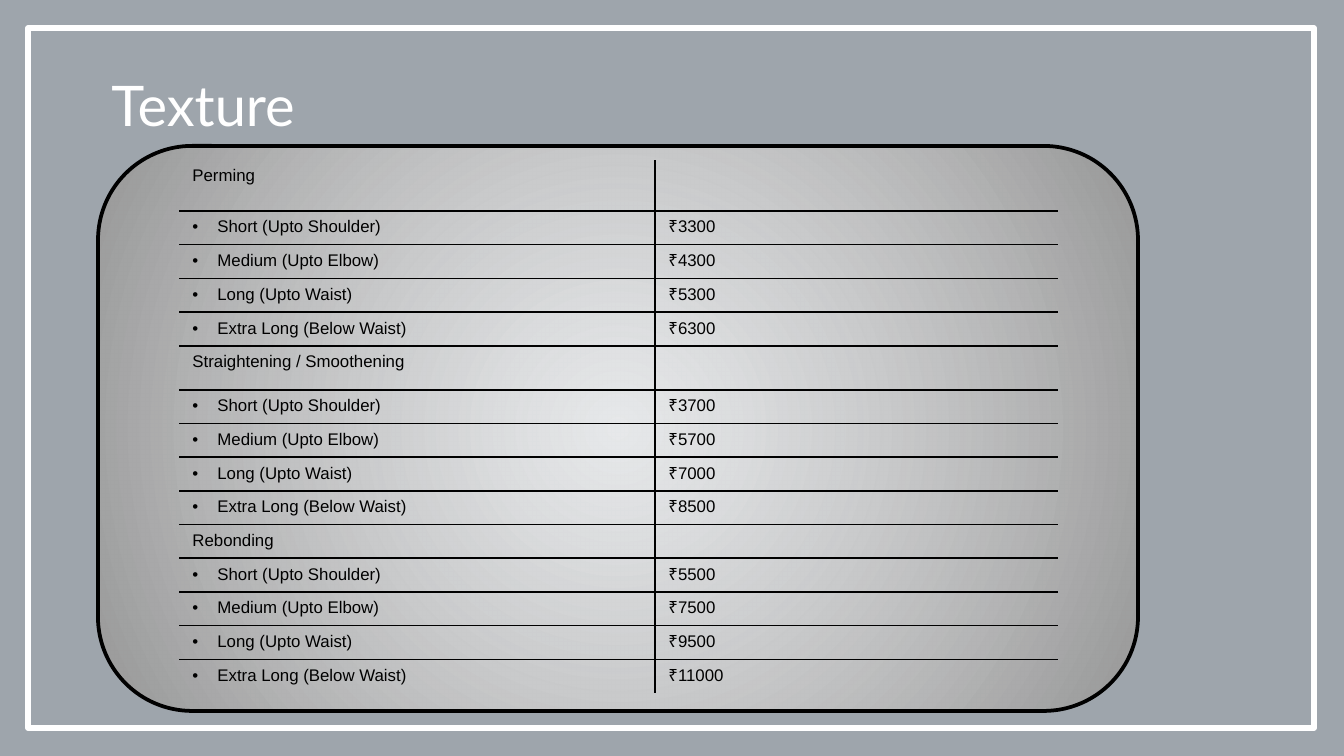
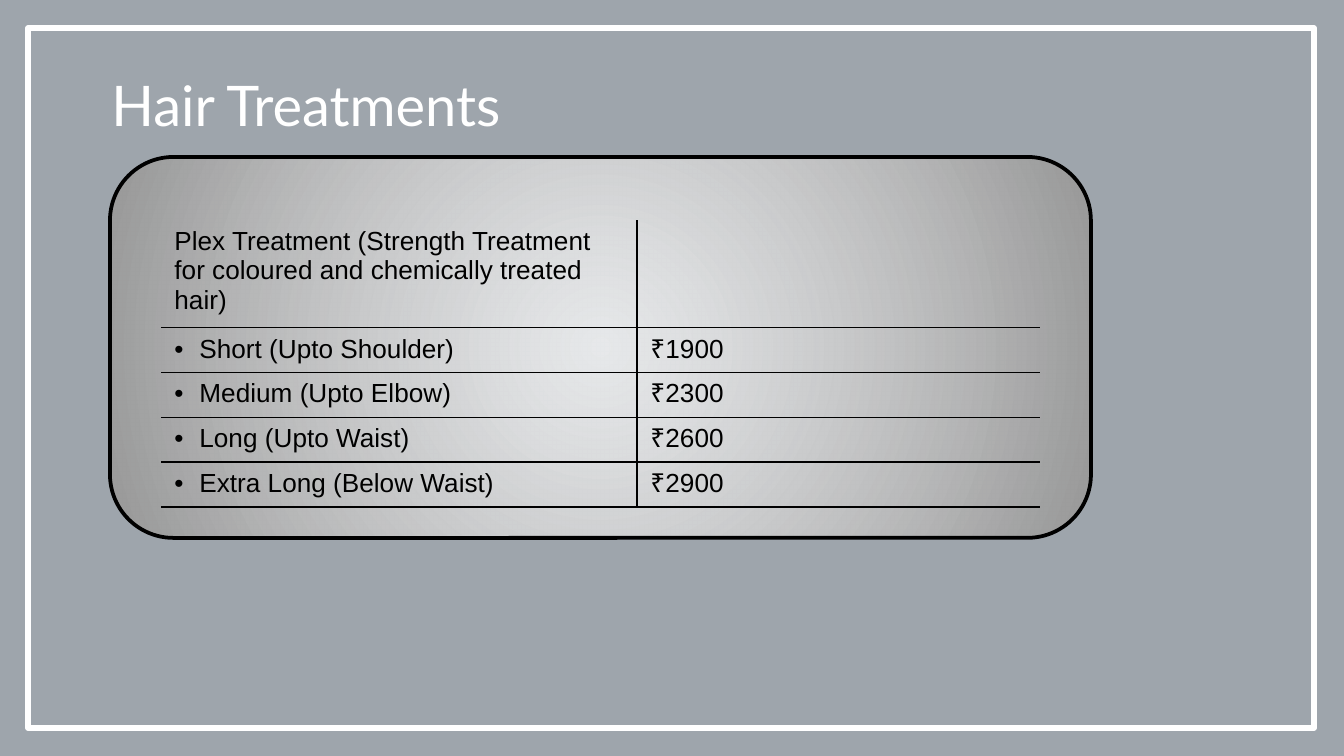
from lxml.etree import SubElement
from pptx import Presentation
from pptx.dml.color import RGBColor
from pptx.enum.shapes import MSO_SHAPE
from pptx.enum.text import MSO_ANCHOR, MSO_AUTO_SIZE, PP_ALIGN
from pptx.oxml.ns import qn
from pptx.util import Emu, Pt

SLIDE_WIDTH, SLIDE_HEIGHT = 1344, 756
NAVY, WHITE, BLACK, GREY = "021526", "FFFFFF", "000000", "979797"
TITLE_FONT, BODY_FONT = "Lato", "Arial"
NO_GRID_STYLE = "{2D5ABB26-0587-4C30-8999-92F81FD0307C}"
TITLE_BOX = (98, 64, 568, 82)
COLUMNS = (476, 403)
BULLET_INDENT = 25
LENGTHS = ("Short (Upto Shoulder)", "Medium (Upto Elbow)",
           "Long (Upto Waist)", "Extra Long (Below Waist)")


def px(value):
    return Emu(round(value * 914400 / 134.4))


def colour(value):
    return RGBColor.from_string(value)


def add_child(parent, tag, **attributes):
    return SubElement(parent, qn(tag), attributes)


def add_box(slide, kind, box, line=None, weight=0):
    shape = slide.shapes.add_shape(kind, *map(px, box))
    shape.shadow.inherit = False
    shape.fill.background()
    if line:
        shape.line.color.rgb = colour(line)
        shape.line.width = Pt(weight)
    else:
        shape.line.fill.background()
    return shape


def dress_layout(layout, slide):
    """Build the tinted backdrop and white frame, then move them to the layout."""
    backdrop = add_box(slide, MSO_SHAPE.RECTANGLE, (0, 0, SLIDE_WIDTH, SLIDE_HEIGHT))
    backdrop.fill.solid()
    backdrop.fill.fore_color.rgb = colour(NAVY)
    tint = backdrop.element.spPr.find(qn("a:solidFill"))[0]
    add_child(tint, "a:alpha", val="38000")
    frame = add_box(slide, MSO_SHAPE.RECTANGLE, (28, 28, 1286, 700), WHITE, 3)
    for shape in (backdrop, frame):
        layout.shapes.element.append(shape.element)


def add_title(slide, text):
    title = slide.shapes.title
    title.left, title.top, title.width, title.height = map(px, TITLE_BOX)
    frame = title.text_frame
    frame.word_wrap = True
    frame.auto_size = MSO_AUTO_SIZE.SHAPE_TO_FIT_TEXT
    frame.vertical_anchor = MSO_ANCHOR.TOP
    paragraph = frame.paragraphs[0]
    paragraph.alignment = PP_ALIGN.LEFT
    add_run(paragraph, text, 30, TITLE_FONT, WHITE)


def add_run(paragraph, text, size, font, ink):
    run = paragraph.add_run()
    run.text = text
    run.font.size = Pt(size)
    run.font.name = font
    run.font.color.rgb = colour(ink)


def add_panel(slide, box):
    """Rounded panel with a glow from its centre."""
    panel = add_box(slide, MSO_SHAPE.ROUNDED_RECTANGLE, box, BLACK, 2)
    properties = panel.element.spPr
    plain = properties.find(qn("a:noFill"))
    gradient = add_child(properties, "a:gradFill", rotWithShape="1")
    properties.replace(plain, gradient)
    stops = add_child(gradient, "a:gsLst")
    centre = add_child(add_child(stops, "a:gs", pos="0"), "a:srgbClr", val=WHITE)
    add_child(centre, "a:alpha", val="75000")
    add_child(add_child(stops, "a:gs", pos="100000"), "a:srgbClr", val=GREY)
    glow = add_child(gradient, "a:path", path="circle")
    add_child(glow, "a:fillToRect", l="50000", t="50000", r="50000", b="50000")


def set_borders(cell, sides):
    properties = cell._tc.get_or_add_tcPr()
    for side in ("L", "R", "T", "B"):
        line = add_child(properties, f"a:ln{side}", w=str(Pt(1)))
        if side in sides:
            add_child(add_child(line, "a:solidFill"), "a:srgbClr", val=BLACK)
        else:
            add_child(line, "a:noFill")
    cell.fill.background()


def add_bullet(paragraph):
    properties = paragraph._p.get_or_add_pPr()
    properties.set("marL", str(px(BULLET_INDENT)))
    properties.set("indent", str(-px(BULLET_INDENT)))
    add_child(add_child(properties, "a:buClr"), "a:srgbClr", val=BLACK)
    add_child(properties, "a:buFont", typeface=BODY_FONT)
    add_child(properties, "a:buChar", char="•")


def fill_cell(cell, text, size, bulleted):
    paragraph = cell.text_frame.paragraphs[0]
    if bulleted:
        add_bullet(paragraph)
    if text:
        add_run(paragraph, text, size, BODY_FONT, BLACK)
    else:
        add_child(paragraph._p, "a:endParaRPr", sz=str(size * 100))


def add_price_table(slide, left, top, groups, size, row_height, closed):
    """Each group is a heading, its row height and one price per hair length."""
    rows = []
    for heading, heading_height, prices in groups:
        rows.append((heading, "", heading_height))
        rows += [(length, f"₹{price}", row_height)
                 for length, price in zip(LENGTHS, prices)]
    height = sum(row[2] for row in rows)
    graphic = slide.shapes.add_table(len(rows), len(COLUMNS), px(left), px(top),
                                     px(sum(COLUMNS)), px(height))
    table = graphic.table
    table.first_row = table.horz_banding = False
    table._tbl.tblPr.find(qn("a:tableStyleId")).text = NO_GRID_STYLE
    for column, width in zip(table.columns, COLUMNS):
        column.width = px(width)
    for index, (label, price, height) in enumerate(rows):
        table.rows[index].height = px(height)
        top_side = "T" if index else ""
        bottom_side = "B" if closed or index < len(rows) - 1 else ""
        for column, (text, inner_side) in enumerate(((label, "R"), (price, "L"))):
            cell = table.cell(index, column)
            fill_cell(cell, text, size, bulleted=bool(price) and column == 0)
            set_borders(cell, inner_side + top_side + bottom_side)


def add_price_slide(slide, title, panel, offset, **table):
    add_title(slide, title)
    add_panel(slide, panel)
    add_price_table(slide, panel[0] + offset[0], panel[1] + offset[1], **table)


def main():
    presentation = Presentation()
    presentation.slide_width = px(SLIDE_WIDTH)
    presentation.slide_height = px(SLIDE_HEIGHT)
    layout = presentation.slide_layouts[5]
    texture, treatments = [presentation.slides.add_slide(layout) for _ in range(2)]
    dress_layout(layout, texture)

    add_price_slide(
        texture, "Texture", panel=(98, 146, 1040, 565), offset=(81, 14),
        groups=[("Perming", 51, (3300, 4300, 5300, 6300)),
                ("Straightening / Smoothening", 44, (3700, 5700, 7000, 8500)),
                ("Rebonding", 32, (5500, 7500, 9500, 11000))],
        size=9, row_height=32, closed=False)
    add_price_slide(
        treatments, "Hair Treatments", panel=(110, 157, 981, 381), offset=(51, 63),
        groups=[("Plex Treatment (Strength Treatment for coloured and "
                 "chemically treated hair)", 101, (1900, 2300, 2600, 2900))],
        size=14, row_height=43, closed=True)
    presentation.save("out.pptx")


if __name__ == "__main__":
    main()
